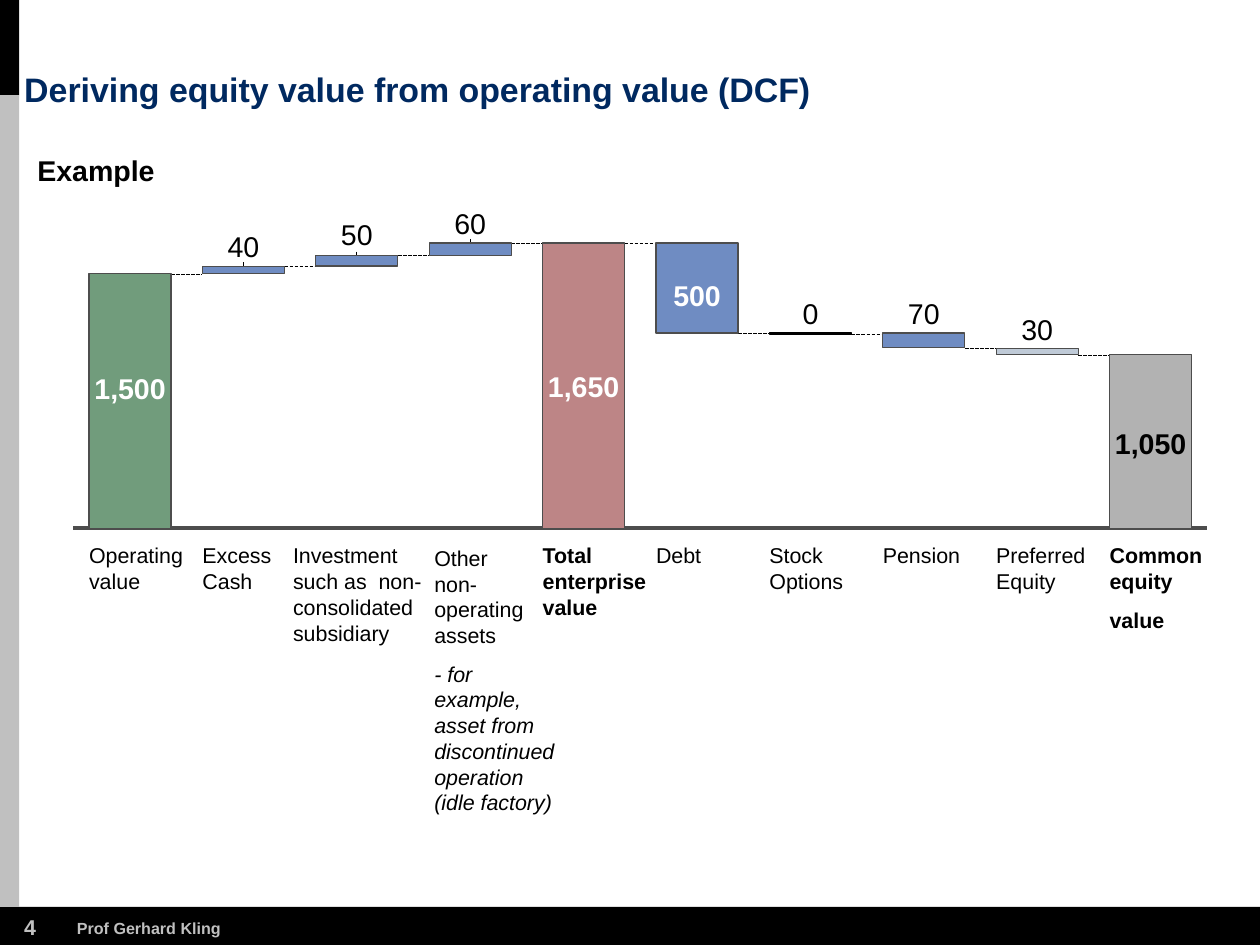
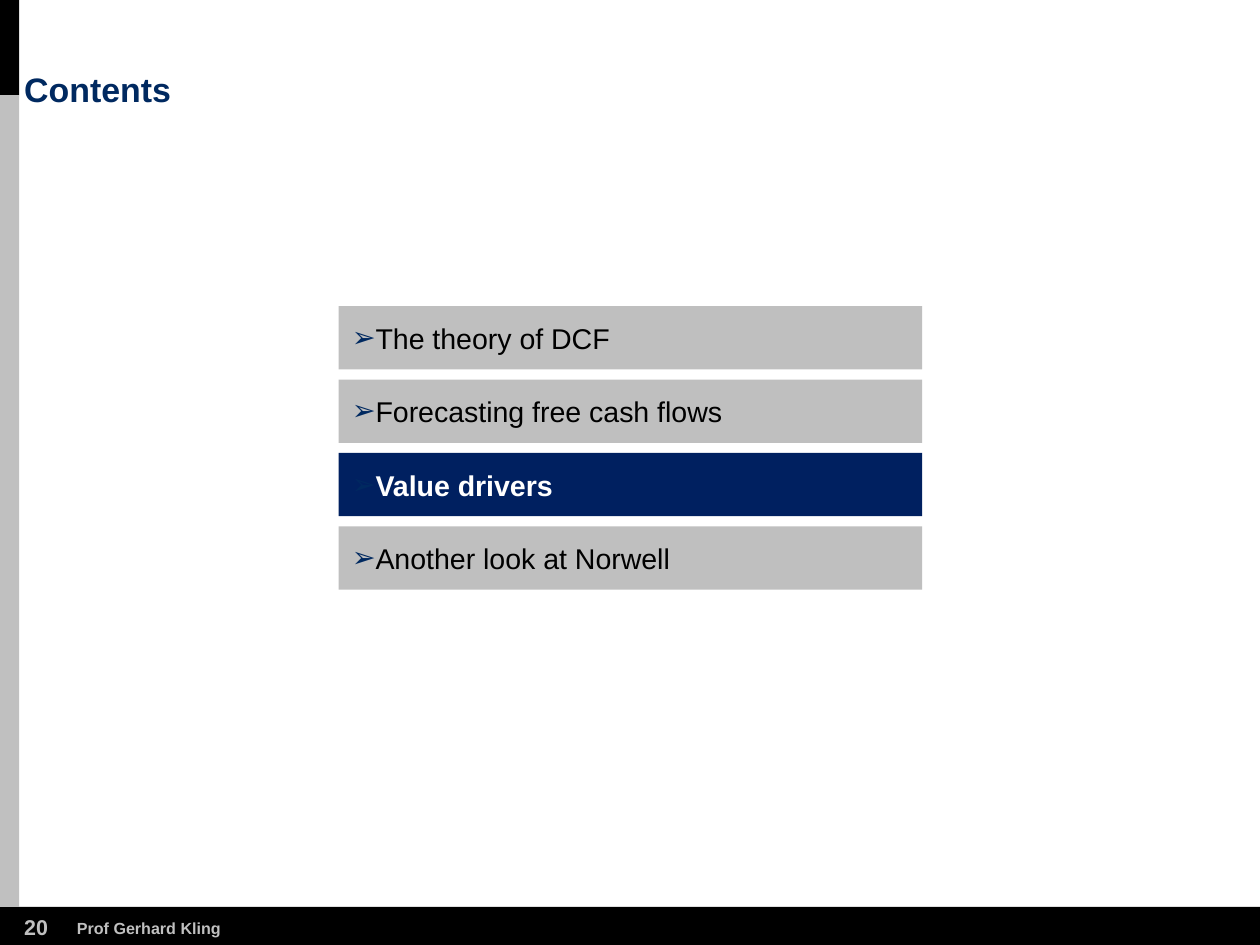
from lxml.etree import SubElement
from pptx import Presentation
from pptx.dml.color import RGBColor
from pptx.enum.dml import MSO_LINE
from pptx.enum.shapes import MSO_CONNECTOR, MSO_SHAPE
from pptx.enum.text import MSO_ANCHOR as Anchor, PP_ALIGN as Align
from pptx.oxml.ns import qn
from pptx.util import Cm, Pt

BLACK, WHITE, SILVER, NAVY = "000000", "FFFFFF", "C0C0C0", "002960"
GREEN, ROSE, BLUE, PALE, GREY = "719C7C", "BD8586", "6F8CC2", "BFCAD7", "B2B2B2"
OUTLINE = "4D4D4D"
WIDTH, HEIGHT = 24.89, 18.67


def add_block(slide, left, top, width, height, fill, outline=None):
    block = slide.shapes.add_shape(
        MSO_SHAPE.RECTANGLE, Cm(left), Cm(top), Cm(width), Cm(height))
    block.shadow.inherit = False
    block.fill.solid()
    block.fill.fore_color.rgb = RGBColor.from_string(fill)
    if outline:
        block.line.color.rgb = RGBColor.from_string(outline)
        block.line.width = Pt(0.75)
    else:
        block.line.fill.background()
    return block


def write(shape, paragraphs, size, color, bold=False, anchor=Anchor.TOP,
          align=Align.LEFT, spacing=None, inset=0, bullet=None):
    frame = shape.text_frame
    frame_format = {"word_wrap": True, "vertical_anchor": anchor,
                    "margin_left": Cm(inset), "margin_right": 0,
                    "margin_top": 0, "margin_bottom": 0}
    for name, value in frame_format.items():
        setattr(frame, name, value)
    for index, text in enumerate(paragraphs):
        paragraph = frame.add_paragraph() if index else frame.paragraphs[0]
        paragraph.text = text
        paragraph.alignment = align
        paragraph.line_spacing = spacing
        if index:
            paragraph.space_before = Pt(size * 0.6)
        if bullet:
            properties = paragraph._p.get_or_add_pPr()
            properties.set("marL", str(Cm(0.41)))
            properties.set("indent", str(-Cm(0.41)))
            bullet_color = SubElement(properties, qn("a:buClr"))
            SubElement(bullet_color, qn("a:srgbClr"), val=NAVY)
            SubElement(properties, qn("a:buFont"), typeface="Arial")
            SubElement(properties, qn("a:buChar"), char=bullet)
        for line_break in paragraph._p.findall(qn("a:br")):
            SubElement(line_break, qn("a:rPr"), sz=str(size * 100))
        font_format = {"name": "Arial", "size": Pt(size), "bold": bold,
                       "italic": text.startswith("- ")}
        for run in paragraph.runs:
            for name, value in font_format.items():
                setattr(run.font, name, value)
            run.font.color.rgb = RGBColor.from_string(color)


deck = Presentation()
deck.slide_width, deck.slide_height = Cm(WIDTH), Cm(HEIGHT)

# Bands, footer and title of every slide
for title, number in (("Deriving equity value from operating value (DCF)", "4"),
                      ("Contents", "20")):
    slide = deck.slides.add_slide(deck.slide_layouts[6])
    add_block(slide, 0, 17.92, WIDTH, HEIGHT - 17.92, BLACK)
    add_block(slide, 0, 0, 0.38, 1.88, BLACK)
    add_block(slide, 0, 1.88, 0.38, 16.04, SILVER)
    for left, top, width, height, text, size, color, anchor, spacing in (
            (0.48, 18.06, 1, 0.51, number, 12, SILVER, Anchor.TOP, None),
            (1.52, 18.14, 5, 0.38, "Prof Gerhard Kling", 9, SILVER, Anchor.TOP, None),
            (0.48, 1.47, 19.71, 0.71, title, 19, NAVY, Anchor.BOTTOM, 0.9)):
        box = slide.shapes.add_textbox(Cm(left), Cm(top), Cm(width), Cm(height))
        write(box, [text], size, color, True, anchor, spacing=spacing)

bridge, contents = deck.slides

# Waterfall from operating value to common equity
heading = bridge.shapes.add_textbox(Cm(0.74), Cm(3.02), Cm(5.1), Cm(0.69))
write(heading, ["Example"], 16, BLACK, True)

BASE, FIRST, PITCH, BAR = 10.44, 1.76, 2.24, 1.62
# value, value top, value colour, bar top, bar bottom, fill, caption
steps = [
    ("1,500", 7.32, WHITE, 5.41, BASE, GREEN, ["Operating value"]),
    ("40", 4.52, BLACK, 5.26, 5.41, BLUE, ["Excess Cash"]),
    ("50", 4.29, BLACK, 5.05, 5.26, BLUE,
     ["Investment such as  non-consolidated subsidiary"]),
    ("60", 4.06, BLACK, 4.8, 5.05, BLUE,
     ["Other \vnon-operating assets",
      "- for example, asset from discontinued operation (idle factory)"]),
    ("1,650", 7.29, WHITE, 4.8, BASE, ROSE, ["Total enterprise value"]),
    ("500", 5.49, WHITE, 4.8, 6.58, BLUE, ["Debt"]),
    ("0", 5.84, BLACK, 6.58, 6.6, PALE, ["Stock Options"]),
    ("70", 5.84, BLACK, 6.58, 6.87, BLUE, ["Pension"]),
    ("30", 6.15, BLACK, 6.88, 7.01, PALE, ["Preferred Equity"]),
    ("1,050", 8.41, BLACK, 7.01, BASE, GREY, ["Common equity", "value"]),
]
# caption shift right, shift down, width
caption_places = {2: (-0.45, 0, 2.64), 3: (0.1, 0.05, 2.4)}

# Axis, joins between bars and ticks under the additions
rules = [(1.45, BASE, 23.85, BASE, OUTLINE, 2.25, None)]
for index, (_, _, _, top, bottom, _, _) in enumerate(steps[:-1]):
    left = FIRST + index * PITCH
    level = top if index < 5 else bottom
    rules.append((left + BAR, level, left + PITCH, level, BLACK, 0.25,
                  MSO_LINE.LONG_DASH))
    if index in (1, 2, 3):
        middle = left + BAR / 2
        rules.append((middle, top - 0.08, middle, top + 0.08, BLACK, 0.5, None))
for x1, y1, x2, y2, color, weight, dash in rules:
    rule = bridge.shapes.add_connector(
        MSO_CONNECTOR.STRAIGHT, Cm(x1), Cm(y1), Cm(x2), Cm(y2))
    rule.line.color.rgb = RGBColor.from_string(color)
    rule.line.width = Pt(weight)
    if dash:
        rule.line.dash_style = dash
    SubElement(rule._element.spPr, qn("a:effectLst"))

# Bars with value and caption
for index, (value, value_top, color, top, bottom, fill, caption) in enumerate(steps):
    left = FIRST + index * PITCH
    total = bottom == BASE
    add_block(bridge, left, top, BAR, bottom - top, fill,
              BLACK if value == "0" else OUTLINE)
    value_box = bridge.shapes.add_textbox(
        Cm(left), Cm(value_top), Cm(BAR), Cm(0.69))
    write(value_box, [value], 16, color, total or color == WHITE,
          Anchor.MIDDLE, Align.CENTER)
    right, down, width = caption_places.get(index, (0, 0, 2.25))
    caption_box = bridge.shapes.add_textbox(
        Cm(left + right), Cm(10.72 + down), Cm(width), Cm(1.2))
    write(caption_box, caption, 12, BLACK, total and index > 0)

# Contents list with the current topic highlighted
topics = ["The theory of DCF", "Forecasting free cash flows", "Value drivers",
          "Another look at Norwell"]
for index, topic in enumerate(topics):
    current = topic == "Value drivers"
    row = add_block(contents, 6.69, 6.05 + index * 1.45, 11.53, 1.25,
                    "002060" if current else "BFBFBF")
    write(row, [topic], 16, WHITE if current else BLACK, current,
          Anchor.MIDDLE, inset=0.26, bullet="➢")

deck.save("out.pptx")
